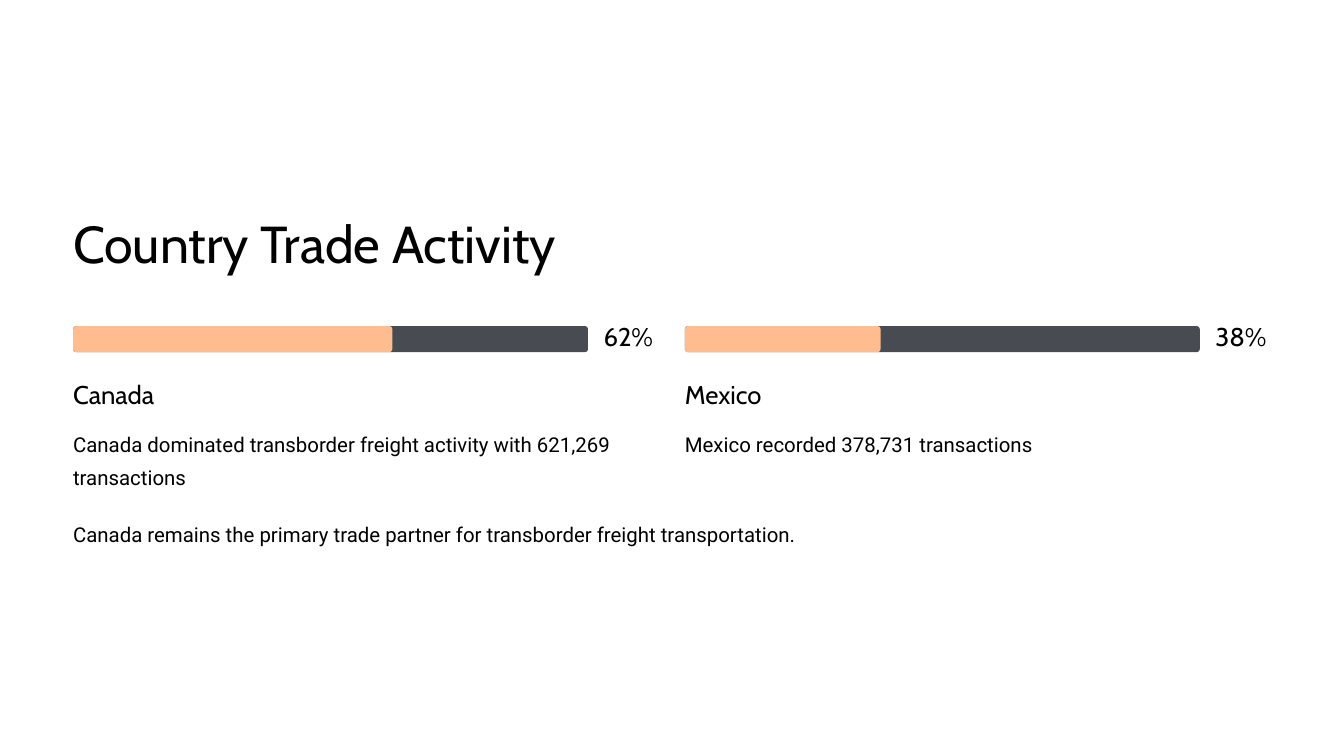
"""Build a slide comparing the trade activity of two countries."""
import pptx
import pptx.dml.color
import pptx.enum.shapes
import pptx.enum.text
import pptx.util

Cm, Pt = pptx.util.Cm, pptx.util.Pt
RGBColor = pptx.dml.color.RGBColor

TITLE = "Country Trade Activity"
COUNTRIES = [
    ("Canada", 62, "Canada dominated transborder freight activity with 621,269 transactions"),
    ("Mexico", 38, "Mexico recorded 378,731 transactions"),
]
SUMMARY = "Canada remains the primary trade partner for transborder freight transportation."

BLACK = RGBColor(0x00, 0x00, 0x00)
WHITE = RGBColor(0xFF, 0xFF, 0xFF)
TRACK = RGBColor(0x48, 0x4B, 0x51)
PEACH = RGBColor(0xFF, 0xBC, 0x8F)

LEFT, PITCH, COLUMN_W = 2.21, 18.5, 17.73
BAR_TOP, BAR_W, BAR_H = 9.86, 15.57, 0.79
HEADING = dict(font="Cabin", size=22)
BODY = dict(font="Roboto", size=17.5, spacing=28.5)


def write(shape, text, font, size, spacing, wrap=False):
    tf = shape.text_frame
    tf.margin_left = tf.margin_top = tf.margin_right = tf.margin_bottom = 0
    tf.auto_size = pptx.enum.text.MSO_AUTO_SIZE.NONE
    tf.vertical_anchor = pptx.enum.text.MSO_ANCHOR.TOP
    tf.word_wrap = wrap
    p = tf.paragraphs[0]
    p.alignment = pptx.enum.text.PP_ALIGN.LEFT
    p.line_spacing = Pt(spacing)
    r = p.add_run()
    r.text = text
    r.font.name, r.font.size = font, Pt(size)
    r.font.color.rgb = BLACK


def add_text(s, box, text, **style):
    write(s.shapes.add_textbox(*map(Cm, box)), text, **style)


def add_bar(s, left, width, color):
    sp = s.shapes.add_shape(pptx.enum.shapes.MSO_SHAPE.ROUNDED_RECTANGLE,
                            Cm(left), Cm(BAR_TOP), Cm(width), Cm(BAR_H))
    sp.adjustments[0] = 0.12
    sp.fill.solid()
    sp.fill.fore_color.rgb = color
    sp.line.fill.background()
    sp.shadow.inherit = False


def main():
    prs = pptx.Presentation()
    prs.slide_width, prs.slide_height = Cm(40.64), Cm(22.86)
    s = prs.slides.add_slide(prs.slide_layouts[5])
    s.background.fill.solid()
    s.background.fill.fore_color.rgb = WHITE

    title = s.shapes.title
    title.left, title.top, title.width, title.height = map(Cm, (LEFT, 6.32, 16, 1.98))
    write(title, TITLE, font="Cabin", size=44.5, spacing=55.5)

    for i, (country, share, detail) in enumerate(COUNTRIES):
        x = LEFT + i * PITCH
        add_bar(s, x, BAR_W, TRACK)
        add_bar(s, x, BAR_W * share / 100, PEACH)
        add_text(s, (x + 16.04, BAR_TOP, 1.7, BAR_H), f"{share}%", spacing=22, **HEADING)
        add_text(s, (x, 11.43, 7.87, 0.99), country, spacing=27.5, **HEADING)
        add_text(s, (x, 12.8, COLUMN_W, 2.01), detail, wrap=True, **BODY)

    add_text(s, (LEFT, 15.52, PITCH + COLUMN_W, 1.02), SUMMARY, **BODY)
    prs.save("out.pptx")


if __name__ == "__main__":
    main()
